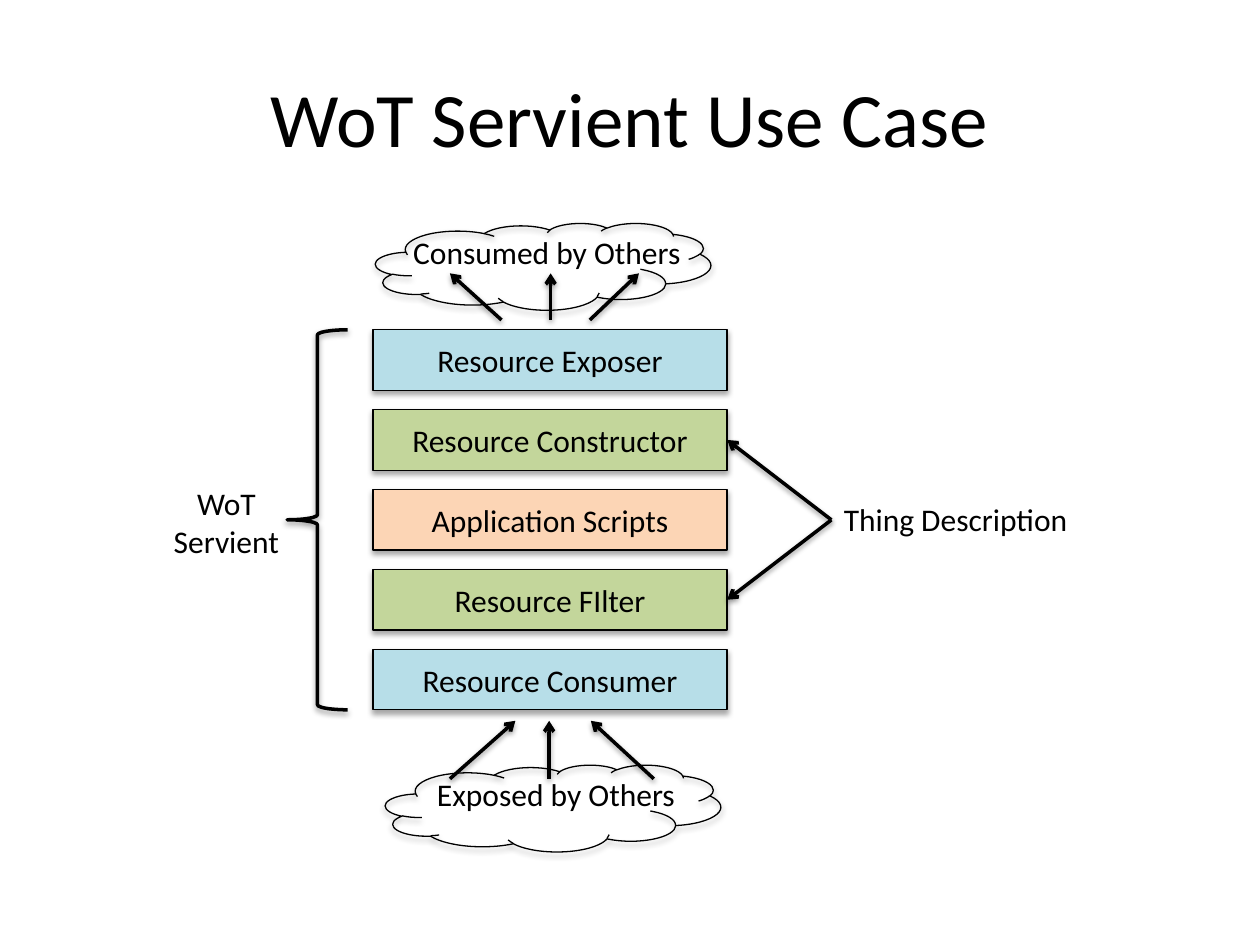
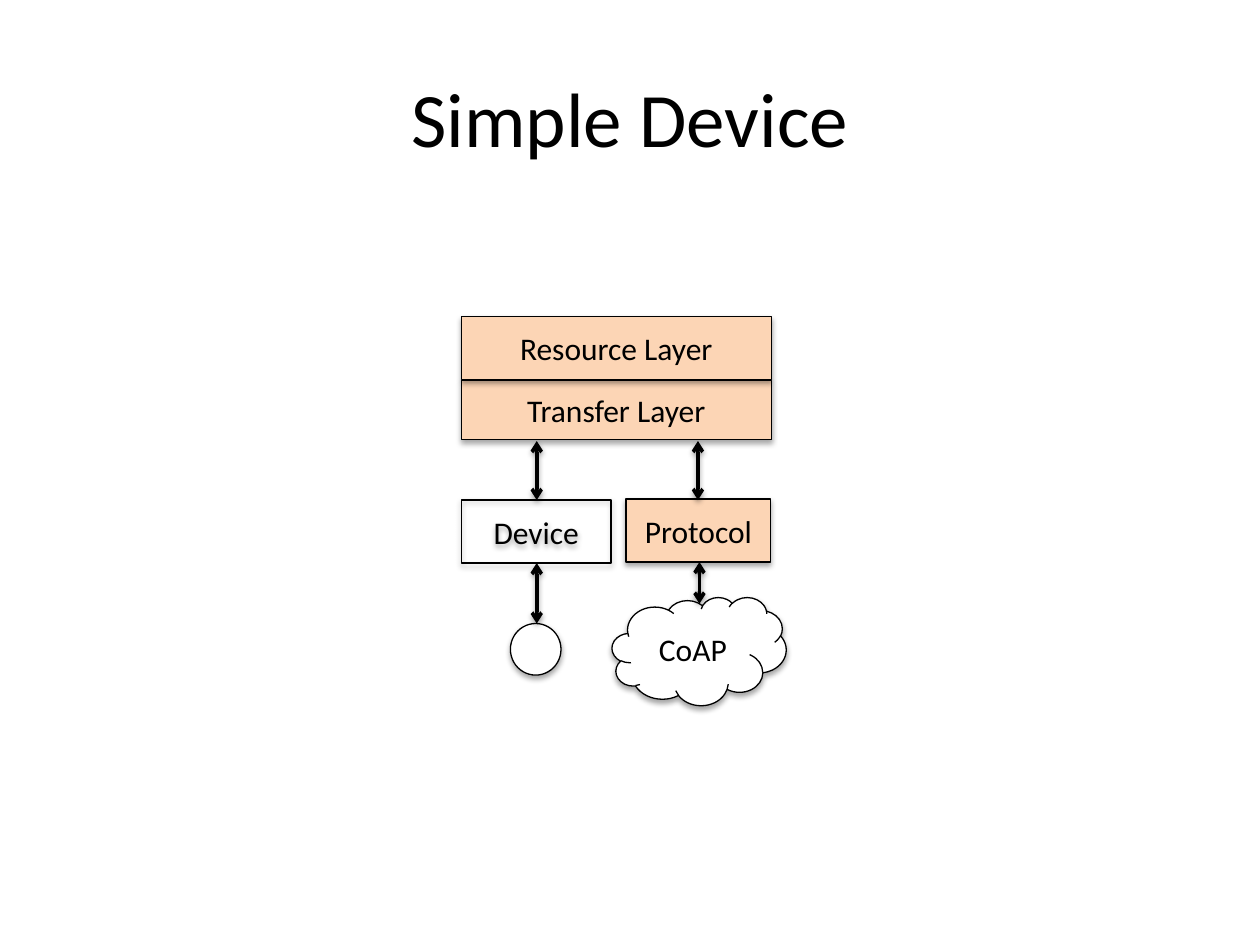
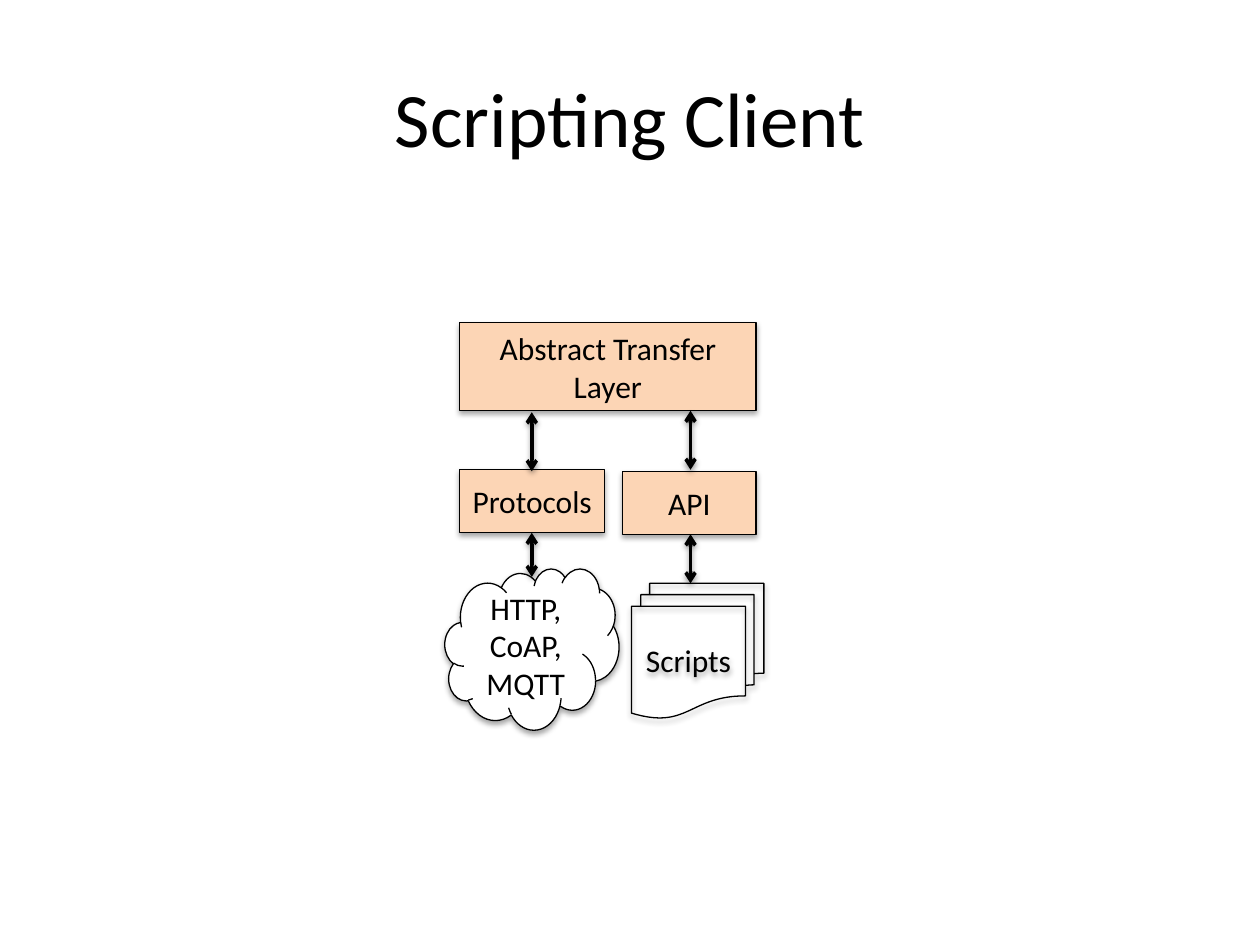
"""Build three slides on the parts of a Web of Things servient."""
from dataclasses import dataclass

from lxml import etree
from pptx import Presentation
from pptx.dml.color import RGBColor
from pptx.enum.shapes import MSO_CONNECTOR, MSO_SHAPE
from pptx.enum.text import MSO_ANCHOR, MSO_AUTO_SIZE, PP_ALIGN
from pptx.oxml.ns import qn
from pptx.util import Cm, Pt


@dataclass(frozen=True)
class Theme:
    font: str = "Calibri"
    ink: str = "000000"
    blue: str = "B7DEE8"
    green: str = "C3D69B"
    orange: str = "FCD5B5"
    white: str = "FFFFFF"
    title_size: float = 44
    label_size: float = 18
    outline: float = 0.75
    stroke: float = 2
    shape_shadow: tuple = (23000, 35000)
    line_shadow: tuple = (20000, 38000)


THEME = Theme()
RECT, CLOUD = MSO_SHAPE.RECTANGLE, MSO_SHAPE.CLOUD

SERVIENT_TITLE = "WoT Servient Use Case"
SERVIENT_LAYERS = [
    ("Resource Exposer", THEME.blue),
    ("Resource Constructor", THEME.green),
    ("Application Scripts", THEME.orange),
    ("Resource FIlter", THEME.green),
    ("Resource Consumer", THEME.blue),
]
LAYER_LEFT, LAYER_TOP, LAYER_WIDTH, LAYER_HEIGHT = 7.52, 6.65, 7.14, 1.22
LAYER_PITCH = 1.61
DESCRIBED_LAYERS = (1, 3)
DESCRIPTION_LEFT = 16.76
SERVIENT_LABELS = [
    ("WoT\nServient", (3.23, 9.63, 2.67, 1.8), PP_ALIGN.CENTER),
    ("Thing Description", (DESCRIPTION_LEFT, 9.96, 5.08, 1.02), PP_ALIGN.LEFT),
    ("Consumed by Others", (8.08, 4.57, 5.97, 1.02), PP_ALIGN.LEFT),
    ("Exposed by Others", (8.56, 15.49, 5.36, 1.02), PP_ALIGN.LEFT),
]
SERVIENT_FLOWS = [
    {"rise": (15.7, 14.53), "runs": [(13.18, 11.91), (9.07, 10.39), (11.07, 11.07)]},
    {"rise": (6.45, 5.51), "runs": [(11.1, 11.1), (11.89, 12.88), (10.11, 9.07)]},
]
SERVIENT_CLOUDS = [(7.57, 4.5, 6.76, 1.75), (7.77, 15.42, 6.76, 1.75)]

STACKS = [
    {
        "title": "Simple Device",
        "parts": [
            ("Transfer Layer", RECT, THEME.orange, (9.3, 7.67, 6.25, 1.19)),
            ("Resource Layer", RECT, THEME.orange, (9.3, 6.38, 6.25, 1.27)),
            ("Protocol", RECT, THEME.orange, (12.62, 10.06, 2.92, 1.27)),
            ("", MSO_SHAPE.OVAL, THEME.white, (10.29, 12.57, 1.02, 1.04)),
            ("CoAP", CLOUD, THEME.white, (12.34, 12.04, 3.51, 2.18)),
            ("Device", RECT, None, (9.3, 10.08, 3.02, 1.27)),
        ],
        "links": [(10.82, 11.35, 12.57), (14.1, 11.33, 12.17),
                  (14.07, 8.89, 10.08), (10.82, 8.89, 10.08)],
    },
    {
        "title": "Scripting Client",
        "parts": [
            ("Abstract Transfer Layer", RECT, THEME.orange, (9.27, 6.5, 5.97, 1.78)),
            ("Protocols", RECT, THEME.orange, (9.27, 9.47, 2.92, 1.27)),
            ("HTTP, CoAP, MQTT", CLOUD, THEME.white, (8.97, 11.46, 3.51, 3.25)),
            ("API", RECT, THEME.orange, (12.55, 9.5, 2.69, 1.27)),
            ("Scripts", MSO_SHAPE.FLOWCHART_MULTIDOCUMENT, None,
             (12.73, 11.76, 2.67, 2.72)),
        ],
        "links": [(10.72, 10.74, 11.63), (13.92, 10.77, 11.76),
                  (13.92, 8.28, 9.47), (10.72, 8.31, 9.5)],
    },
]


def write(frame, text, size=THEME.label_size, align=PP_ALIGN.CENTER,
          anchor=MSO_ANCHOR.MIDDLE, wrap=True):
    frame.word_wrap = wrap
    frame.vertical_anchor = anchor
    frame.text = text
    for paragraph in frame.paragraphs:
        paragraph.alignment = align
        for run in paragraph.runs:
            run.font.name = THEME.font
            run.font.size = Pt(size)
            run.font.color.rgb = RGBColor.from_string(THEME.ink)


def draw_line(line, width):
    line.color.rgb = RGBColor.from_string(THEME.ink)
    line.width = Pt(width)


def cast_shadow(drawn, strength):
    distance, alpha = strength
    effects = etree.SubElement(drawn.element.spPr, qn("a:effectLst"))
    shadow = etree.SubElement(effects, qn("a:outerShdw"), blurRad="40000",
                              dist=str(distance), dir="5400000", rotWithShape="0")
    colour = etree.SubElement(shadow, qn("a:srgbClr"), val=THEME.ink)
    etree.SubElement(colour, qn("a:alpha"), val=str(alpha))


def add_part(slide, kind, box, text="", fill=None, width=THEME.outline,
             shadow=THEME.shape_shadow):
    part = slide.shapes.add_shape(kind, *map(Cm, box))
    if fill:
        part.fill.solid()
        part.fill.fore_color.rgb = RGBColor.from_string(fill)
    else:
        part.fill.background()
    draw_line(part.line, width)
    cast_shadow(part, shadow)
    if text:
        write(part.text_frame, text)


def add_label(slide, text, box, align):
    frame = slide.shapes.add_textbox(*map(Cm, box)).text_frame
    write(frame, text, align=align, anchor=MSO_ANCHOR.TOP, wrap=False)
    frame.auto_size = MSO_AUTO_SIZE.SHAPE_TO_FIT_TEXT


def add_arrow(slide, start, end, ends=("tailEnd",)):
    arrow = slide.shapes.add_connector(MSO_CONNECTOR.STRAIGHT, *map(Cm, start + end))
    draw_line(arrow.line, THEME.stroke)
    outline = arrow.element.spPr.find(qn("a:ln"))
    for tip in ends:
        etree.SubElement(outline, qn("a:" + tip), type="arrow")
    cast_shadow(arrow, THEME.line_shadow)


def add_titled_slide(deck, title):
    slide = deck.slides.add_slide(deck.slide_layouts[5])
    heading = slide.shapes.title
    heading.left, heading.top, heading.width, heading.height = map(
        Cm, (1.27, 0.76, 22.86, 3.18))
    write(heading.text_frame, title, size=THEME.title_size)
    return slide


def build_servient(deck):
    slide = add_titled_slide(deck, SERVIENT_TITLE)
    tops = [LAYER_TOP + row * LAYER_PITCH for row in range(len(SERVIENT_LAYERS))]
    middles = [top + LAYER_HEIGHT / 2 for top in tops]
    for (name, fill), top in zip(SERVIENT_LAYERS, tops):
        add_part(slide, RECT, (LAYER_LEFT, top, LAYER_WIDTH, LAYER_HEIGHT), name, fill)
    brace_height = tops[-1] + LAYER_HEIGHT - LAYER_TOP
    add_part(slide, MSO_SHAPE.LEFT_BRACE, (5.79, LAYER_TOP, 1.22, brace_height),
             width=THEME.stroke, shadow=THEME.line_shadow)
    for label in SERVIENT_LABELS:
        add_label(slide, *label)
    source = (DESCRIPTION_LEFT, middles[len(middles) // 2])
    for row in DESCRIBED_LAYERS:
        add_arrow(slide, source, (LAYER_LEFT + LAYER_WIDTH, middles[row]))
    for flow in SERVIENT_FLOWS:
        bottom, top = flow["rise"]
        for start, end in flow["runs"]:
            add_arrow(slide, (start, bottom), (end, top))
    for box in SERVIENT_CLOUDS:
        add_part(slide, CLOUD, box)


def build_stack(deck, stack):
    slide = add_titled_slide(deck, stack["title"])
    for name, kind, fill, box in stack["parts"]:
        add_part(slide, kind, box, name, fill)
    for x, top, bottom in stack["links"]:
        add_arrow(slide, (x, top), (x, bottom), ends=("headEnd", "tailEnd"))


deck = Presentation()
deck.slide_width, deck.slide_height = Cm(25.4), Cm(19.05)
build_servient(deck)
for stack in STACKS:
    build_stack(deck, stack)
deck.save("out.pptx")
